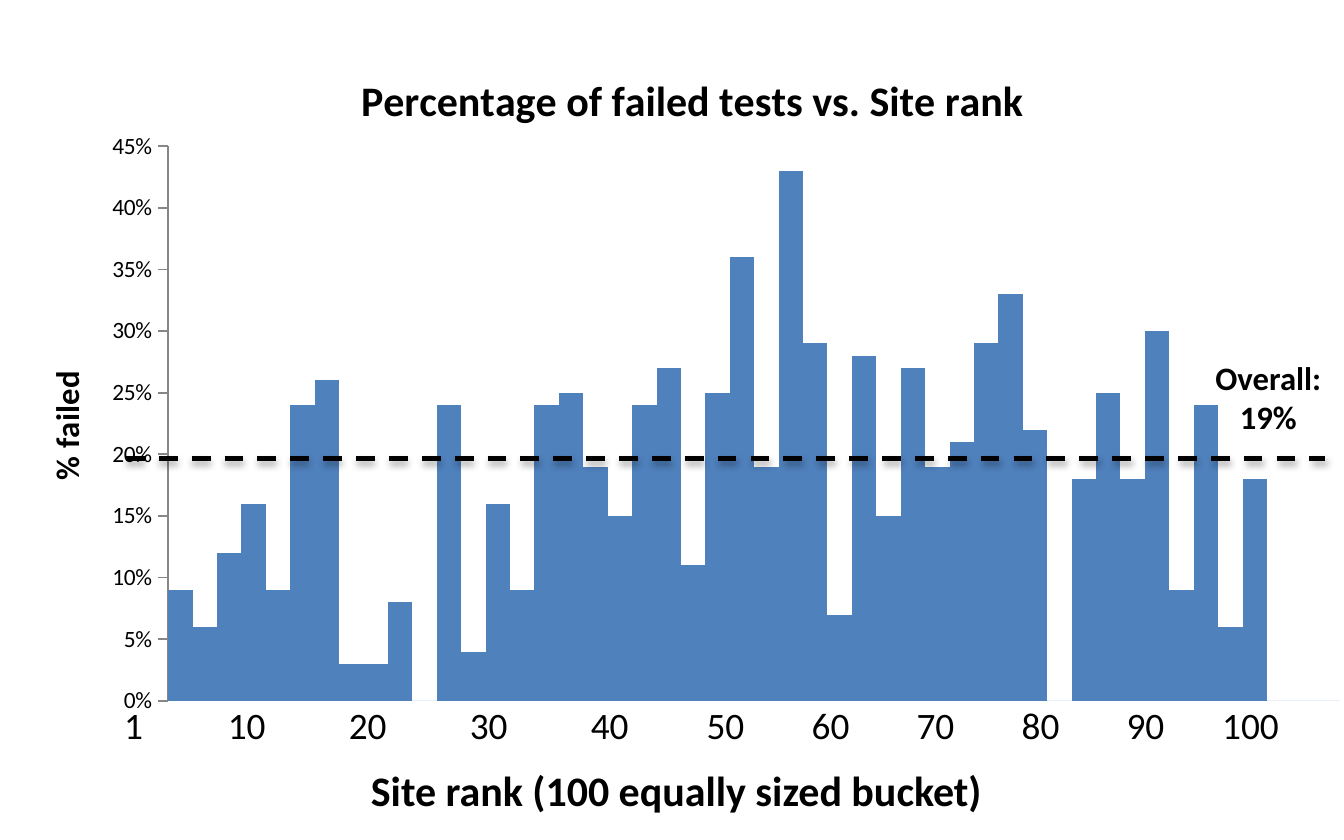
from lxml.etree import SubElement
from pptx import Presentation
from pptx.chart.data import CategoryChartData
from pptx.dml.color import RGBColor
from pptx.enum.chart import XL_CHART_TYPE, XL_TICK_LABEL_POSITION, XL_TICK_MARK
from pptx.enum.dml import MSO_LINE
from pptx.enum.shapes import MSO_CONNECTOR
from pptx.enum.text import MSO_AUTO_SIZE, PP_ALIGN
from pptx.oxml import parse_xml
from pptx.oxml.ns import nsdecls, qn
from pptx.util import Inches, Pt

COLORS = {"text": "000000", "column": "4F81BD", "axis": "868686"}


def format_font(font, size, bold=False):
    for name, value in {"name": "Calibri", "size": Pt(size), "bold": bold}.items():
        setattr(font, name, value)
    font.color.rgb = RGBColor.from_string(COLORS["text"])


def place_chart_part(element, settings):
    for old_layout in element.findall(qn("c:layout")):
        element.remove(old_layout)
    layout = parse_xml(f"<c:layout {nsdecls('c')}><c:manualLayout/></c:layout>")
    for tag, value in settings.items():
        SubElement(layout[0], qn(f"c:{tag}")).set("val", str(value))
    text = element.find(qn("c:tx"))
    element.insert(0 if text is None else element.index(text) + 1, layout)


presentation = Presentation()
presentation.slide_width = Inches(8)
presentation.slide_height = Inches(5)
slide = presentation.slides.add_slide(presentation.slide_layouts[6])

failure_rates = [
    0.09, 0.06, 0.12, 0.16, 0.09, 0.24, 0.26, 0.03, 0.03, 0.08, 0, 0.24,
    0.04, 0.16, 0.09, 0.24, 0.25, 0.19, 0.15, 0.24, 0.27, 0.11, 0.25, 0.36,
    0.19, 0.43, 0.29, 0.07, 0.28, 0.15, 0.27, 0.19, 0.21, 0.29, 0.33, 0.22,
    0, 0.18, 0.25, 0.18, 0.3, 0.09, 0.24, 0.06, 0.18, 0, 0, 0,
]
chart_data = CategoryChartData(number_format="0%")
chart_data.categories = [str(number) for number in range(1, len(failure_rates) + 1)]
chart_data.add_series("Series 1", failure_rates)
chart = slide.shapes.add_chart(
    XL_CHART_TYPE.COLUMN_CLUSTERED,
    Inches(-0.02), Inches(0.17), Inches(8.17), Inches(4.17), chart_data,
).chart
format_font(chart.font, 10)
chart.has_legend = False

plot = chart.plots[0]
plot.gap_width = 0
plot.vary_by_categories = False
column_fill = plot.series[0].format.fill
column_fill.solid()
column_fill.fore_color.rgb = RGBColor.from_string(COLORS["column"])

chart.category_axis.visible = False
value_axis = chart.value_axis
axis_format = {
    "minimum_scale": 0,
    "maximum_scale": 0.45,
    "major_unit": 0.05,
    "has_major_gridlines": False,
    "major_tick_mark": XL_TICK_MARK.OUTSIDE,
    "minor_tick_mark": XL_TICK_MARK.NONE,
    "tick_label_position": XL_TICK_LABEL_POSITION.NEXT_TO_AXIS,
}
for name, value in axis_format.items():
    setattr(value_axis, name, value)
value_axis.tick_labels.number_format = "0%"
value_axis.tick_labels.number_format_is_linked = False
value_axis.format.line.color.rgb = RGBColor.from_string(COLORS["axis"])
value_axis.format.line.width = Pt(0.75)

for owner, text, size, left, top in [
    (chart, "Percentage of failed tests vs. Site rank", 18, 0.26, 0.05),
    (value_axis, "% failed", 14, 0.03, 0.48),
]:
    title = owner.chart_title if owner is chart else owner.axis_title
    title.text_frame.text = text
    format_font(title.text_frame.paragraphs[0].runs[0].font, size, True)
    place_chart_part(
        title._element, {"xMode": "edge", "yMode": "edge", "x": left, "y": top}
    )

place_chart_part(
    chart._chartSpace.chart.plotArea,
    {"layoutTarget": "inner", "xMode": "edge", "yMode": "edge",
     "x": 0.125, "y": 0.168, "w": 0.854, "h": 0.792},
)

overall_line = slide.shapes.add_connector(
    MSO_CONNECTOR.STRAIGHT, Inches(0.75), Inches(2.73), Inches(7.89), Inches(2.73)
)
overall_line.line.color.rgb = RGBColor.from_string(COLORS["text"])
overall_line.line.width = Pt(2)
overall_line.line.dash_style = MSO_LINE.DASH
overall_line._element.spPr.append(parse_xml(
    f"<a:effectLst {nsdecls('a')}>"
    f'<a:outerShdw blurRad="{Pt(3.1)}" dist="{Pt(1.6)}" dir="5400000" rotWithShape="0">'
    f'<a:srgbClr val="{COLORS["text"]}"><a:alpha val="38000"/></a:srgbClr>'
    "</a:outerShdw></a:effectLst>"
))

rank_labels = "\t".join(["1"] + [str(rank) for rank in range(10, 101, 10)])
rank_tabs = [0.73 + 0.72 * step for step in range(4)]
rank_tabs += [3.58 + 0.625 * step for step in range(6)]

for text, box, size, bold, wrap, alignment, tabs in [
    ("Overall:\n19%", (7.13, 2.08, 0.84, 0.57), 14, True, False, PP_ALIGN.CENTER, []),
    (rank_labels, (0.64, 4.13, 7.25, 0.37), 16, False, True, PP_ALIGN.LEFT, rank_tabs),
    ("Site rank (100 equally sized bucket)", (2.11, 4.5, 3.87, 0.4),
     18, True, False, PP_ALIGN.LEFT, []),
]:
    text_box = slide.shapes.add_textbox(*[Inches(length) for length in box])
    text_frame = text_box.text_frame
    text_frame.word_wrap = wrap
    text_frame.auto_size = MSO_AUTO_SIZE.SHAPE_TO_FIT_TEXT
    text_frame.text = text
    for paragraph in text_frame.paragraphs:
        paragraph.alignment = alignment
        if tabs:
            tab_list = SubElement(paragraph._p.get_or_add_pPr(), qn("a:tabLst"))
            for position in tabs:
                tab = SubElement(tab_list, qn("a:tab"))
                tab.set("pos", str(Inches(position)))
                tab.set("algn", "ctr")
        for run in paragraph.runs:
            format_font(run.font, size, bold)

presentation.save("out.pptx")
